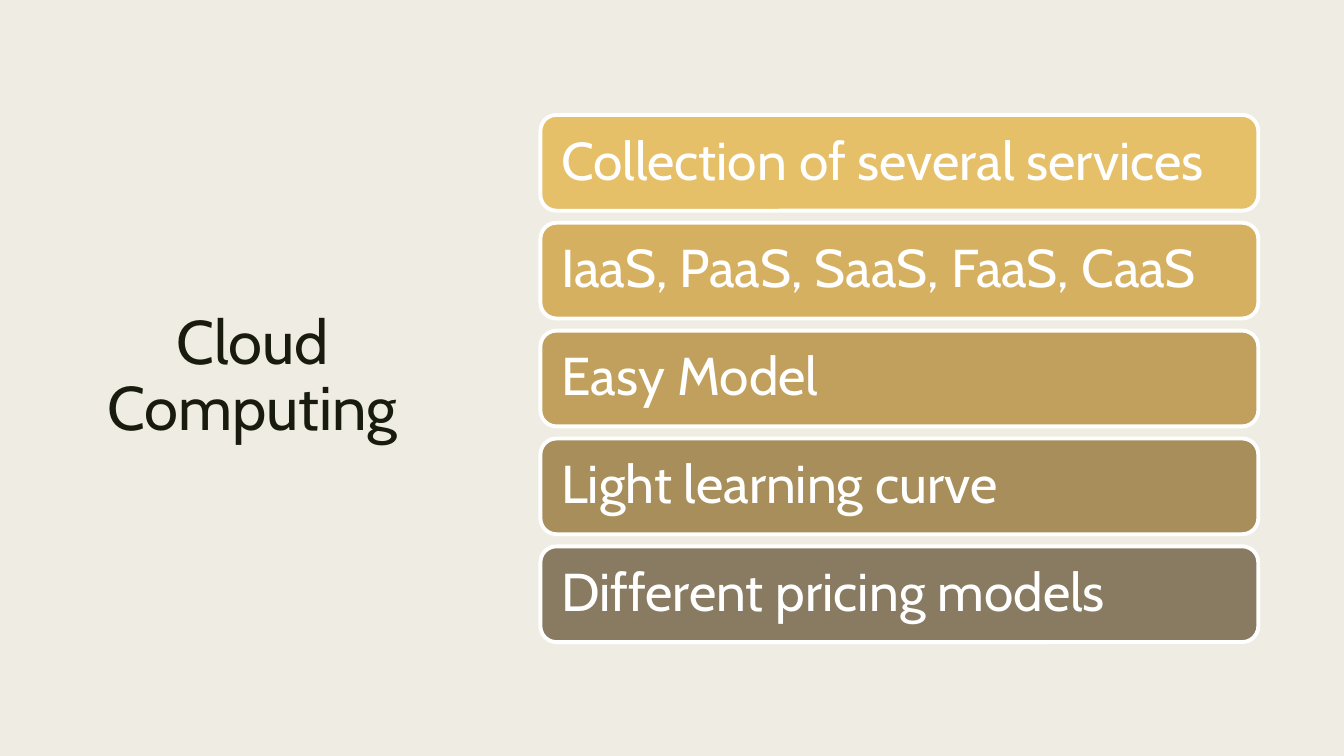
from dataclasses import dataclass

import pptx
import pptx.dml.color
import pptx.enum.shapes
import pptx.enum.text
import pptx.util
from pptx.util import Inches

Align = pptx.enum.text.PP_ALIGN


@dataclass(frozen=True)
class Theme:
    font: str = "Cabin"
    paper: str = "EFEDE3"
    ink: str = "191B0E"
    white: str = "FFFFFF"
    title: int = 44
    body: int = 38
    edge: float = 2.75


@dataclass(frozen=True)
class Bar:
    text: str
    fill: str


THEME = Theme()
LEFT, TOP, WIDTH, HEIGHT, STEP = 5.36, 1.14, 7.12, 0.95, 1.07
INSET = 0.16
BARS = [
    Bar("Collection of several services", "E6C069"),
    Bar("IaaS, PaaS, SaaS, FaaS, CaaS", "D5B061"),
    Bar("Easy Model", "C0A05C"),
    Bar("Light learning curve", "A88E5B"),
    Bar("Different pricing models", "897B61"),
]


def color(code: str) -> pptx.dml.color.RGBColor:
    return pptx.dml.color.RGBColor.from_string(code)


def write(frame: pptx.text.text.TextFrame, text: str, size: int,
          ink: str, align: Align, space: float) -> None:
    frame.text = text
    frame.word_wrap = True
    frame.vertical_anchor = pptx.enum.text.MSO_ANCHOR.MIDDLE
    para = frame.paragraphs[0]
    para.alignment = align
    para.line_spacing = space
    font = para.runs[0].font
    font.name = THEME.font
    font.size = pptx.util.Pt(size)
    font.color.rgb = color(ink)


def draw_title(slide: pptx.slide.Slide) -> None:
    box = slide.shapes.add_textbox(
        Inches(0.7), Inches(0.7), Inches(3.61), Inches(6.1))
    write(box.text_frame, "Cloud Computing", THEME.title, THEME.ink,
          Align.CENTER, 0.89)


def draw_bar(slide: pptx.slide.Slide, bar: Bar, top: float) -> None:
    shape = slide.shapes.add_shape(
        pptx.enum.shapes.MSO_SHAPE.ROUNDED_RECTANGLE,
        Inches(LEFT), Inches(top), Inches(WIDTH), Inches(HEIGHT))
    shape.shadow.inherit = False
    shape.fill.solid()
    shape.fill.fore_color.rgb = color(bar.fill)
    shape.line.color.rgb = color(THEME.white)
    shape.line.width = pptx.util.Pt(THEME.edge)
    frame = shape.text_frame
    frame.margin_left = frame.margin_right = Inches(INSET)
    frame.margin_top = frame.margin_bottom = Inches(INSET)
    write(frame, bar.text, THEME.body, THEME.white, Align.LEFT, 0.9)


def main() -> None:
    deck = pptx.Presentation()
    deck.slide_width = Inches(13.33)
    deck.slide_height = Inches(7.5)
    slide = deck.slides.add_slide(deck.slide_layouts[6])
    back = slide.background.fill
    back.solid()
    back.fore_color.rgb = color(THEME.paper)
    draw_title(slide)
    for row, bar in enumerate(BARS):
        draw_bar(slide, bar, TOP + row * STEP)
    deck.save("out.pptx")


if __name__ == "__main__":
    main()
